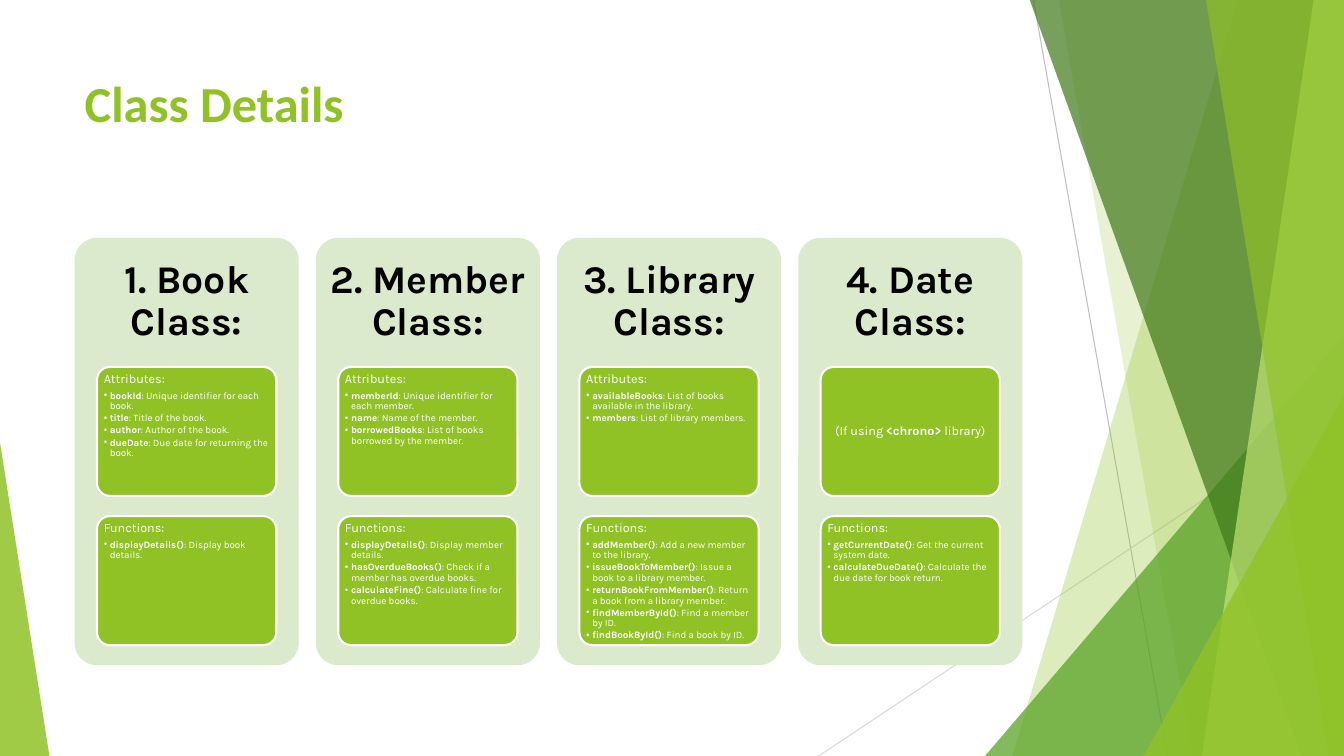
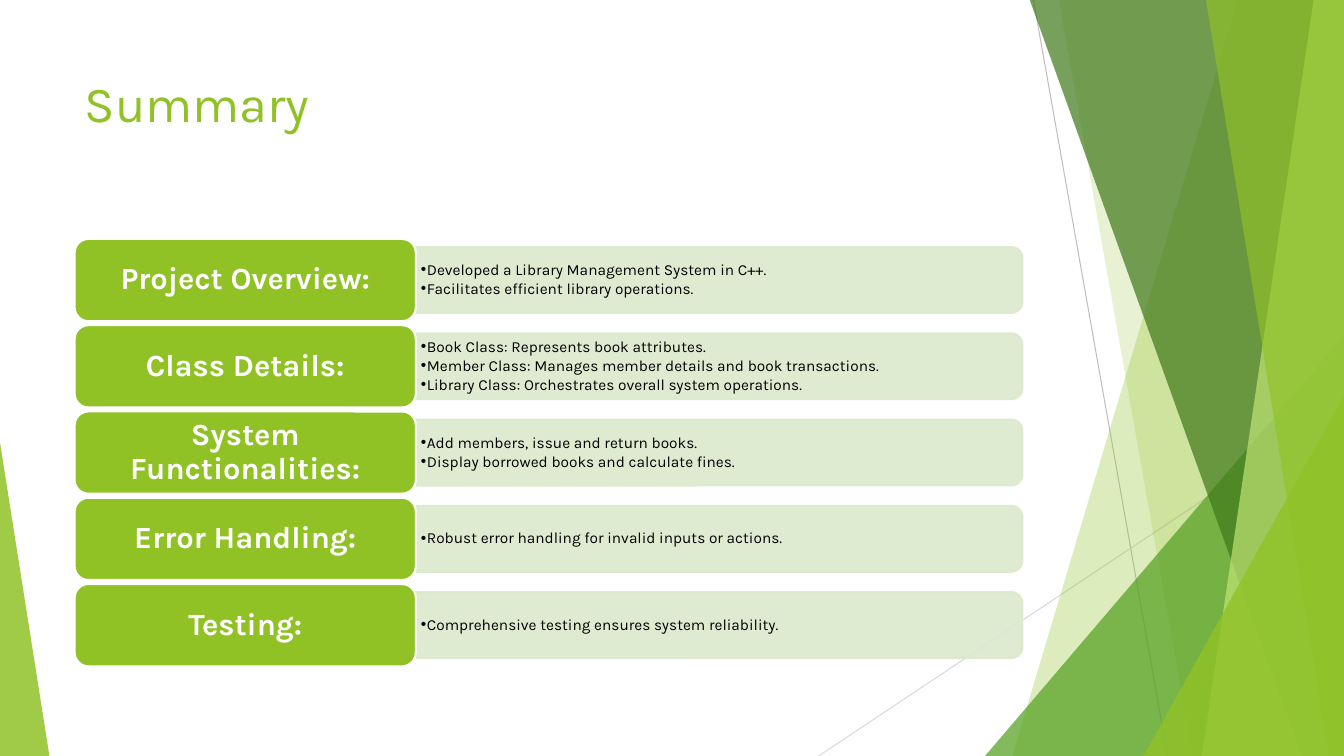
"""Builds the class details and summary slides of a library system deck."""
from lxml import etree
from pptx import Presentation
from pptx.dml.color import RGBColor
from pptx.enum import shapes, text
from pptx.oxml.ns import qn
from pptx.util import Inches, Pt

W, H = 13.33, 7.5
LEFT, TOP, WIDTH, HEIGHT = 0.74, 2.36, 9.4, 4.24
COLORS = {"green": "90C226", "leaf": "54A021", "forest": "3F7819", "lime": "C0E474",
          "pale": "DBE9CD", "white": "FFFFFF", "black": "000000",
          "gray": "BFBFBF", "silver": "D9D9D9"}
SHAPE, ALIGN, ANCHOR = shapes.MSO_SHAPE, text.PP_ALIGN, text.MSO_ANCHOR

RAYS = [((10.25, 0), (11.58, H), "gray"), ((W, 4.03), (8.12, H), "silver")]
FACETS = [
    ("band", (12.28, 10.04), "green", 30),
    ("band", (10.5, 11.83), "green", 20),
    ("triangle", (9.77, 3.33, 3.56, 1), "leaf", 72),
    ("band", (10.21, 12.91), "forest", 70),
    ("band", (13.03, 11.92), "lime", 70),
    ("band", (11.96, 13.18), "green", 65),
    ("triangle", (11.34, 3.93, 1.99, 1), "green", 80),
    ("triangle", (0, 4.39, 0.49, 0), "green", 85),
]
CLASSES = [
    ("1. Book Class:", [
        ("Attributes:", ["**bookId**: Unique identifier for each book.",
                         "**title**: Title of the book.",
                         "**author**: Author of the book.",
                         "**dueDate**: Due date for returning the book."]),
        ("Functions:", ["**displayDetails()**: Display book details."])]),
    ("2. Member Class:", [
        ("Attributes:", ["**memberId**: Unique identifier for each member.",
                         "**name**: Name of the member.",
                         "**borrowedBooks**: List of books borrowed by the member."]),
        ("Functions:", ["**displayDetails()**: Display member details.",
                        "**hasOverdueBooks()**: Check if a member has overdue books.",
                        "**calculateFine()**: Calculate fine for overdue books."])]),
    ("3. Library Class:", [
        ("Attributes:", ["**availableBooks**: List of books available in the library.",
                         "**members**: List of library members."]),
        ("Functions:", ["**addMember()**: Add a new member to the library.",
                        "**issueBookToMember()**: Issue a book to a library member.",
                        "**returnBookFromMember()**: Return a book from a library member.",
                        "**findMemberById()**: Find a member by ID.",
                        "**findBookById()**: Find a book by ID."])]),
    ("4. Date Class:", [
        ("(If using **<chrono>** library)", []),
        ("Functions:", ["**getCurrentDate()**: Get the current system date.",
                        "**calculateDueDate()**: Calculate the due date for book return."])]),
]
SUMMARY = [
    ("Project Overview:", ["Developed a Library Management System in C++.",
                           "Facilitates efficient library operations."]),
    ("Class Details:", ["Book Class: Represents book attributes.",
                        "Member Class: Manages member details and book transactions.",
                        "Library Class: Orchestrates overall system operations."]),
    ("System Functionalities:", ["Add members, issue and return books.",
                                 "Display borrowed books and calculate fines."]),
    ("Error Handling:", ["Robust error handling for invalid inputs or actions."]),
    ("Testing:", ["Comprehensive testing ensures system reliability."]),
]


def rgb(name):
    return RGBColor.from_string(COLORS[name])


def inches(*values):
    return [Inches(v) for v in values]


def paint(sp, fill, line=None, alpha=None):
    sp.shadow.inherit = False
    sp.fill.solid()
    sp.fill.fore_color.rgb = rgb(fill)
    if line:
        sp.line.color.rgb = rgb(line)
        sp.line.width = Pt(1.5)
    else:
        sp.line.fill.background()
    if alpha:
        for color in list(sp.element.iter(qn("a:srgbClr"))):
            etree.SubElement(color, qn("a:alpha"), val=str(alpha * 1000))
    return sp


def add_shape(slide, kind, box, fill, line=None, alpha=None, adj=None):
    sp = slide.shapes.add_shape(kind, *inches(*box))
    if adj is not None:
        sp.adjustments[0] = adj
    return paint(sp, fill, line, alpha)


def frame(sp, side, end, anchor=ANCHOR.MIDDLE):
    tf = sp.text_frame
    tf.word_wrap = True
    tf.vertical_anchor = anchor
    tf.margin_left = tf.margin_right = Inches(side)
    tf.margin_top = tf.margin_bottom = Inches(end)
    return tf


def write(tf, words, size, color="white", font="Karla", bold=False,
          align=ALIGN.LEFT, bullet=False, leading=0.9):
    p = tf.add_paragraph() if tf.text else tf.paragraphs[0]
    p.alignment = align
    p.line_spacing = leading
    p.space_after = Pt(round(size * (0.15 if bullet else 0.35), 1))
    if bullet:
        pPr = p._p.get_or_add_pPr()
        pPr.set("marL", str(Inches(0.06)))
        pPr.set("indent", str(-Inches(0.06)))
        etree.SubElement(pPr, qn("a:buFont"), typeface="Arial")
        etree.SubElement(pPr, qn("a:buChar"), char="•")
    for i, part in enumerate(words.split("**")):
        if part:
            r = p.add_run()
            r.text = part
            r.font.size = Pt(size)
            r.font.name = font
            r.font.bold = bold or i % 2 == 1
            r.font.color.rgb = rgb(color)


def draw_facets(slide):
    for start, end, color in RAYS:
        ray = slide.shapes.add_connector(shapes.MSO_CONNECTOR.STRAIGHT, *inches(*start, *end))
        ray.line.color.rgb = rgb(color)
        ray.line.width = Pt(0.75)
        etree.SubElement(ray.element.spPr, qn("a:effectLst"))
        yield ray
    for kind, place, color, alpha in FACETS:
        if kind == "band":
            top, bottom = place
            pen = slide.shapes.build_freeform(*inches(top, -0.01))
            pen.add_line_segments([inches(*pt) for pt in ((W, -0.01), (W, H), (bottom, H))])
            yield paint(pen.convert_to_shape(), color, alpha=alpha)
        else:
            x, y, w, apex = place
            yield add_shape(slide, SHAPE.ISOSCELES_TRIANGLE, (x, y, w, H - y), color,
                            alpha=alpha, adj=apex)


def style_layout(layout, slide):
    for sp in list(draw_facets(slide)):
        layout.shapes.element.append(sp.element)
    title = layout.placeholders[0]
    title.left, title.top, title.width, title.height = inches(LEFT, 0.67, WIDTH, 1.44)
    title.text_frame.vertical_anchor = ANCHOR.TOP


def add_title(slide, words, **fmt):
    write(slide.shapes.title.text_frame, words, 36, "green", leading=1.0, **fmt)


def class_details(slide):
    add_title(slide, "Class Details", font="Calibri", bold=True)
    gap = 0.17
    w = (WIDTH - gap * (len(CLASSES) - 1)) / len(CLASSES)
    for col, (heading, boxes) in enumerate(CLASSES):
        x = LEFT + col * (w + gap)
        add_shape(slide, SHAPE.ROUNDED_RECTANGLE, (x, TOP, w, HEIGHT), "pale", adj=0.1)
        head = slide.shapes.add_textbox(*inches(x, TOP, w, HEIGHT * 0.3))
        write(frame(head, 0.12, 0.12), heading, 28, "black", bold=True, align=ALIGN.CENTER)
        for row, (label, items) in enumerate(boxes):
            sp = add_shape(slide, SHAPE.ROUNDED_RECTANGLE,
                           (x + w * 0.1, 3.64 + row * 1.48, w * 0.8, 1.28),
                           "green", "white", adj=0.1)
            tf = frame(sp, 0.03, 0.02, ANCHOR.TOP if items else ANCHOR.MIDDLE)
            write(tf, label, 9, align=ALIGN.LEFT if items else ALIGN.CENTER)
            for item in items:
                write(tf, item, 7, bullet=True)


def summary(slide):
    add_title(slide, "Summary")
    gap, label_w = 0.04, WIDTH * 0.36
    h = (HEIGHT - gap * (len(SUMMARY) - 1)) / len(SUMMARY)
    bar_x, bar_w, bar_h = LEFT + label_w, WIDTH - label_w, h * 0.8
    for row, (label, items) in enumerate(SUMMARY):
        y = TOP + 0.01 + row * (h + gap)
        mid = y + h / 2
        bar = add_shape(slide, SHAPE.ROUND_2_SAME_RECTANGLE,
                        (bar_x + (bar_w - bar_h) / 2, mid - bar_w / 2, bar_h, bar_w),
                        "pale", "pale", alpha=90)
        bar.rotation = 90
        details = slide.shapes.add_textbox(*inches(bar_x, mid - 0.3, bar_w, 0.6))
        tf = frame(details, 0.05, 0.02)
        for item in items:
            write(tf, item, 11, "black", bullet=True)
        sp = add_shape(slide, SHAPE.ROUNDED_RECTANGLE, (LEFT, y, label_w, h), "green", "white")
        write(frame(sp, 0.09, 0.05), label, 22, bold=True, align=ALIGN.CENTER)


def main():
    prs = Presentation()
    prs.slide_width, prs.slide_height = inches(W, H)
    layout = prs.slide_layouts[5]
    slides = [prs.slides.add_slide(layout) for _ in range(2)]
    style_layout(layout, slides[0])
    class_details(slides[0])
    summary(slides[1])
    prs.save("out.pptx")


if __name__ == "__main__":
    main()
